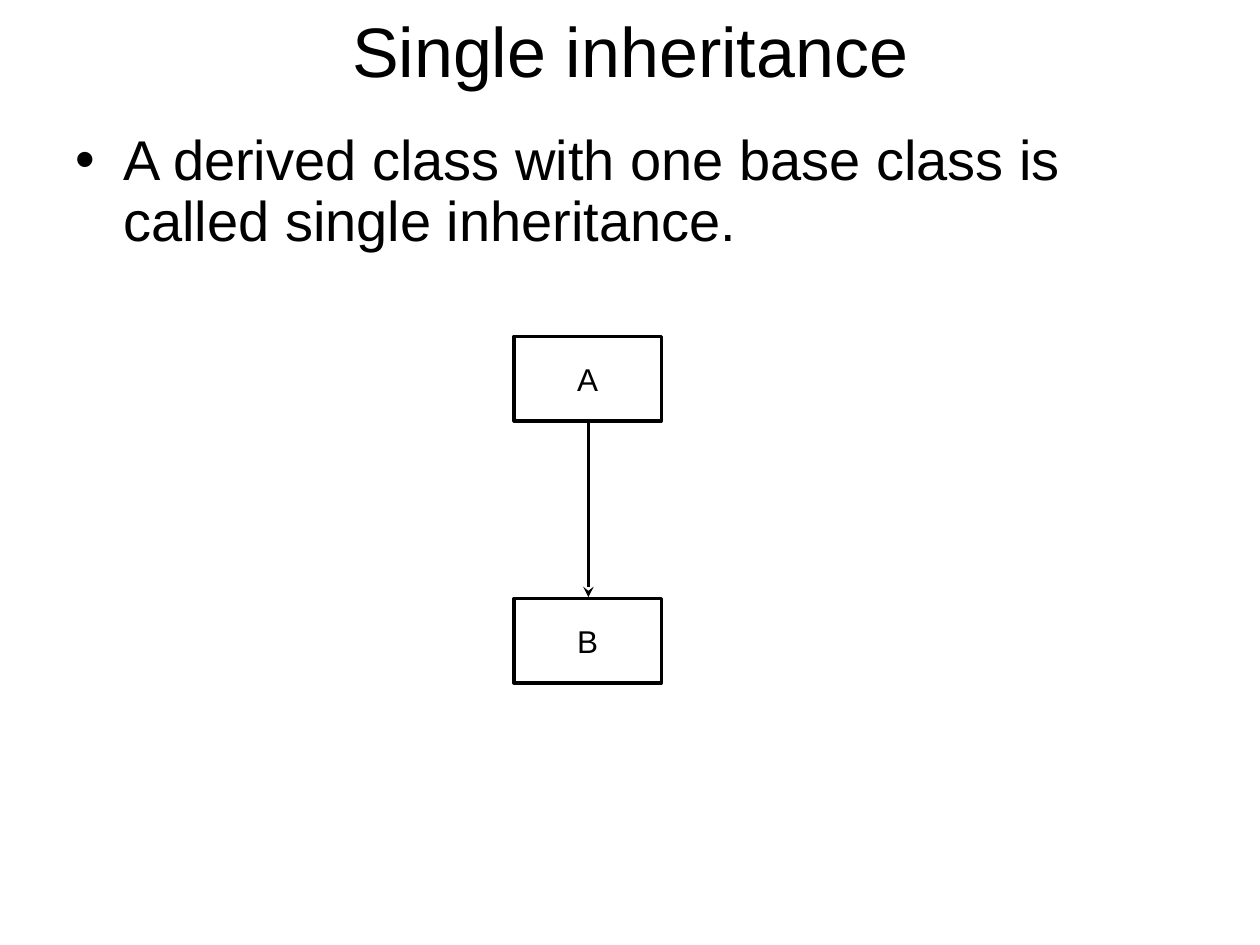
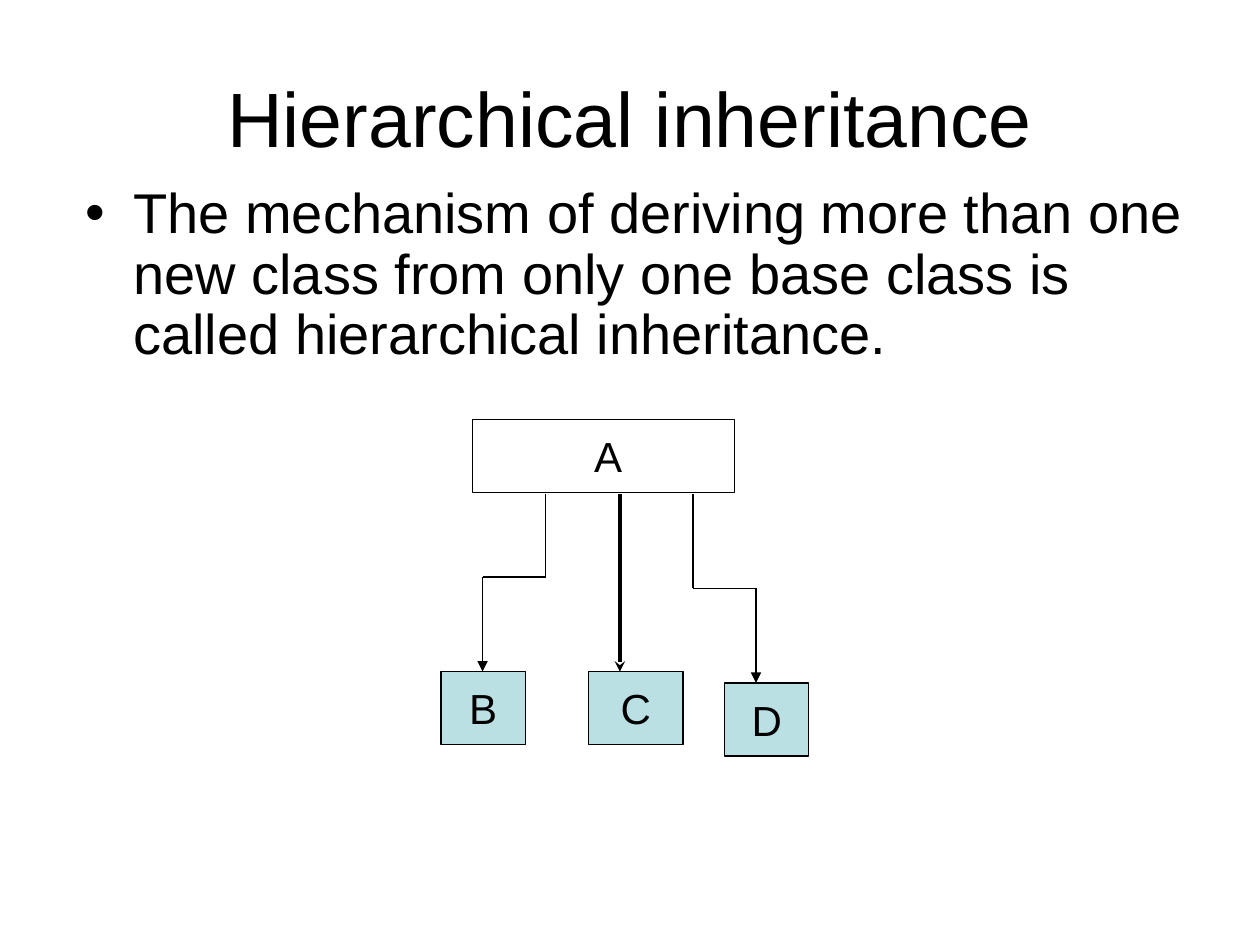
from dataclasses import dataclass
from itertools import pairwise

from lxml import etree
from pptx import Presentation
from pptx.dml.color import RGBColor
from pptx.enum import shapes, text
from pptx.oxml import ns
from pptx.util import Inches, Pt


@dataclass(frozen=True)
class Theme:
    font: str = "Arial"
    ink: RGBColor = RGBColor(0, 0, 0)
    paper: RGBColor = RGBColor(255, 255, 255)
    tint: RGBColor = RGBColor(0xBB, 0xE0, 0xE3)
    body: int = 32
    label: int = 24
    small: int = 18
    thin: float = 0.75
    thick: float = 2


THEME = Theme()


def add_tag(parent, tag, **attrs):
    return etree.SubElement(parent, ns.qn(tag), attrs)


def write(shape, words, size, align="CENTER", anchor="MIDDLE", wrap=True,
          bullet=False, spacing=None, left=0.1):
    """Fill a shape with one formatted paragraph."""
    frame = shape.text_frame
    frame.word_wrap = wrap
    frame.vertical_anchor = text.MSO_ANCHOR[anchor]
    frame.margin_left = Inches(left)
    para = frame.paragraphs[0]
    para.text = words
    para.alignment = text.PP_ALIGN[align]
    if spacing:
        para.line_spacing = spacing
    if bullet:
        props = para._p.get_or_add_pPr()
        props.set("marL", str(Inches(0.38)))
        props.set("indent", str(-Inches(0.38)))
        add_tag(props, "a:buFont", typeface=THEME.font)
        add_tag(props, "a:buChar", char="•")
    para.font.name = THEME.font
    para.font.size = Pt(size)
    para.font.color.rgb = THEME.ink


def add_title(slide, words, top, height, size):
    box = slide.shapes.add_textbox(*map(Inches, (0.5, top, 9, height)))
    write(box, words, size)


def add_point(slide, words, left, top, height):
    box = slide.shapes.add_textbox(*map(Inches, (left, top, 9, height)))
    write(box, words, THEME.body, align="LEFT", anchor="TOP",
          bullet=True, spacing=0.9)


def add_class(slide, name, place, size=THEME.label, fill=None,
              weight=THEME.thin, **style):
    box = slide.shapes.add_shape(shapes.MSO_SHAPE.RECTANGLE,
                                 *map(Inches, place))
    box.shadow.inherit = False
    if fill is None:
        box.fill.background()
    else:
        box.fill.solid()
        box.fill.fore_color.rgb = fill
    box.line.color.rgb = THEME.ink
    box.line.width = Pt(weight)
    write(box, name, size, **style)


def add_route(slide, points, weight=THEME.thin, head="triangle"):
    """Join the points with straight lines, with an arrowhead at the last."""
    for start, end in pairwise(points):
        line = slide.shapes.add_connector(shapes.MSO_CONNECTOR.STRAIGHT,
                                          *map(Inches, start + end))
        line.line.color.rgb = THEME.ink
        line.line.width = Pt(weight)
        add_tag(line._element.spPr, "a:effectLst")
    add_tag(line.line._get_or_add_ln(), "a:tailEnd", type=head)


def build_single(slide):
    add_title(slide, "Single inheritance", 0, 0.78, 40)
    add_point(slide, "A derived class with one base class is called "
              "single inheritance.", 0.5, 1, 1.08)
    for name, top in (("A", 2.67), ("B", 4.75)):
        add_class(slide, name, (4.08, top, 1.17, 0.67), THEME.small,
                  THEME.paper, THEME.thick)
    add_route(slide, [(4.67, 3.35), (4.67, 4.74)], THEME.thick, "stealth")


def build_tree(slide):
    add_title(slide, "Hierarchical inheritance", 0.3, 1.25, 44)
    add_point(slide, "The mechanism of deriving more than one new class from "
              "only one base class is called hierarchical inheritance.",
              0.58, 1.42, 1.67)
    add_class(slide, "A", (3.75, 3.33, 2.08, 0.58), wrap=False, left=0.17)
    for name, left, top, width in (("B", 3.5, 5.33, 0.67),
                                   ("C", 4.67, 5.33, 0.75),
                                   ("D", 5.75, 5.42, 0.67)):
        add_class(slide, name, (left, top, width, 0.58), fill=THEME.tint,
                  wrap=False)
    base = 3.92
    add_route(slide, [(4.92, base), (4.92, 5.33)], THEME.thick, "stealth")
    for start, bend, end, foot in ((4.33, 4.58, 3.83, 5.33),
                                   (5.5, 4.67, 6, 5.42)):
        add_route(slide, [(start, base), (start, bend), (end, bend),
                          (end, foot)])


def main():
    deck = Presentation()
    deck.slide_width, deck.slide_height = Inches(10), Inches(7.5)
    for build in (build_single, build_tree):
        build(deck.slides.add_slide(deck.slide_layouts[6]))
    deck.save("out.pptx")


if __name__ == "__main__":
    main()
